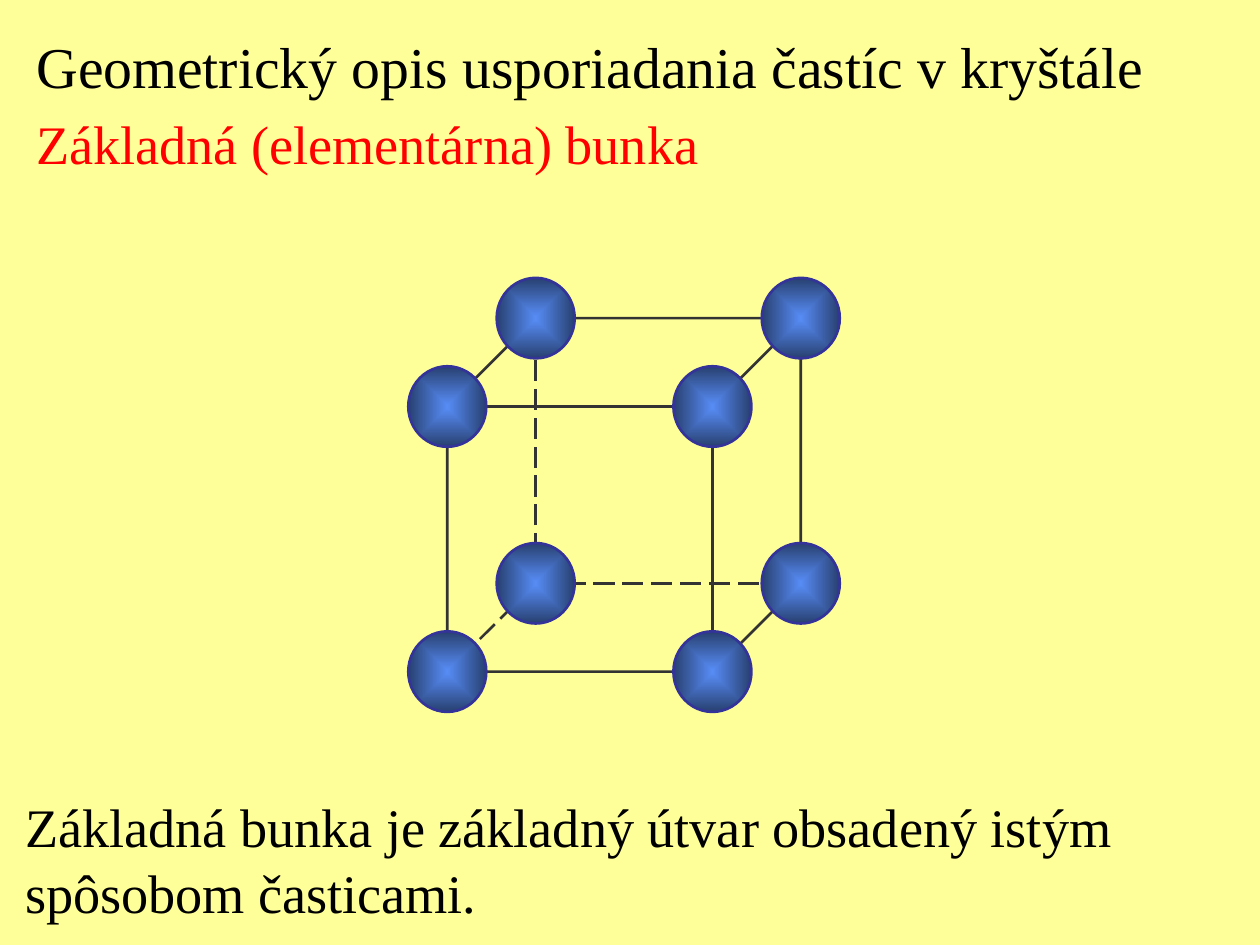
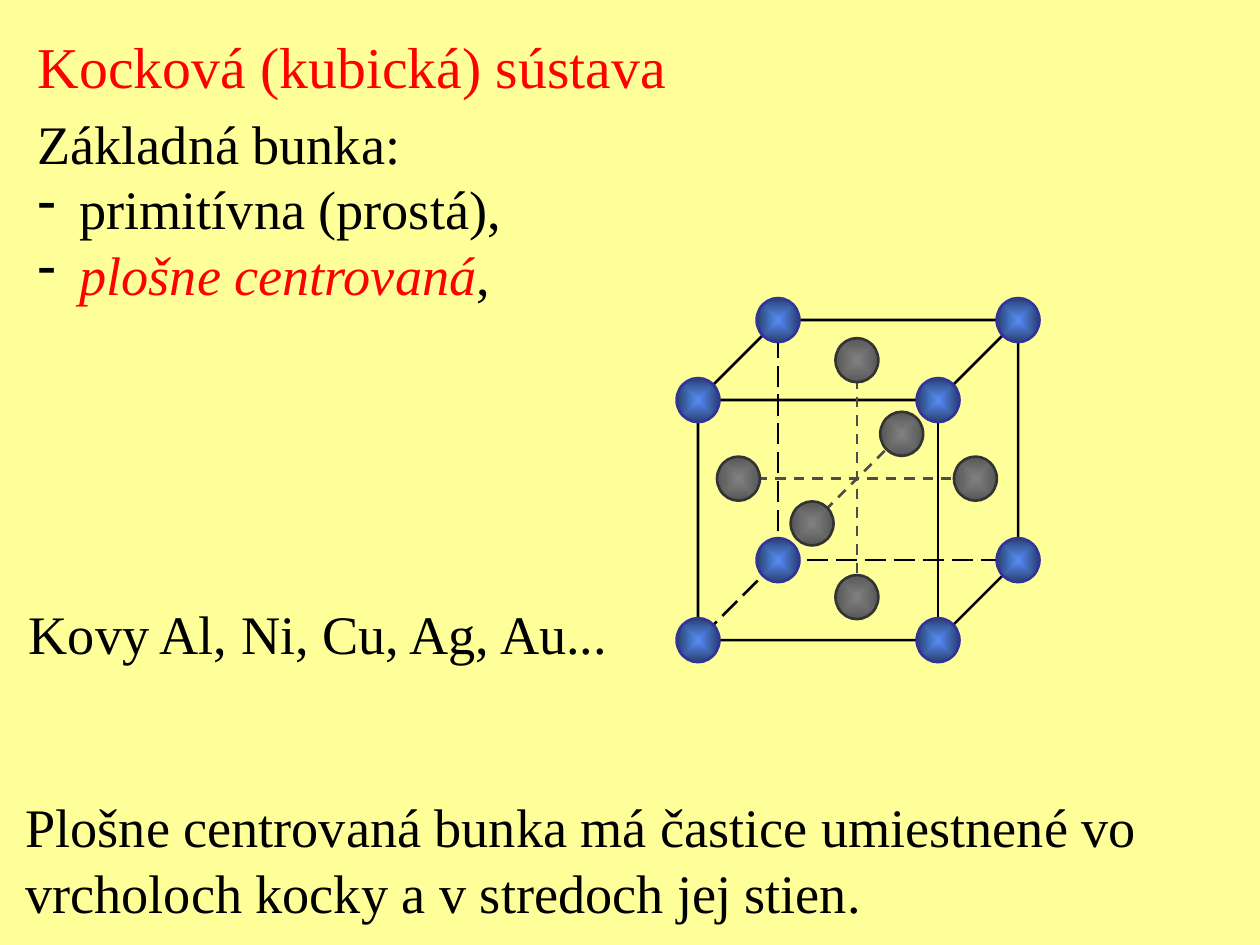
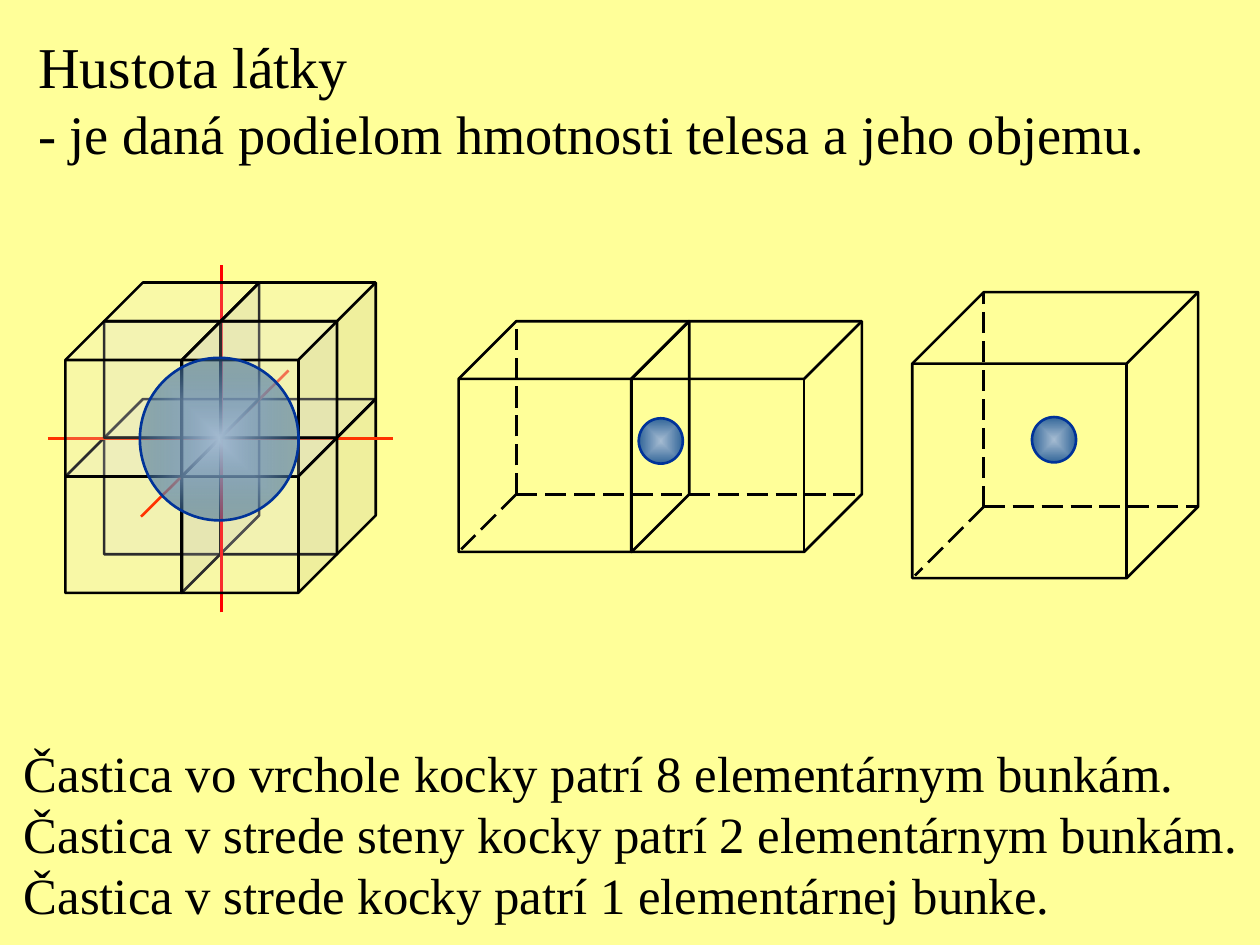
from dataclasses import dataclass

from lxml import etree
from pptx import Presentation
from pptx import oxml
from pptx import util as u
from pptx.dml.color import RGBColor
from pptx.enum import dml, shapes, text
from pptx.oxml import ns

Pt = u.Pt


@dataclass(frozen=True)
class Theme:
    font: str = "Times New Roman"
    bg: str = "FFFF99"
    ink: str = "000000"
    accent: str = "FF0000"
    axis: str = "FF3300"
    edge: str = "333333"
    inner: str = "4D4D4D"
    glass: str = "DDDDDD"
    title: float = 33
    body: float = 31
    note: float = 29
    leading: float = 1.2
    after: float = 6.1
    indent: float = 24
    line: float = 1.5
    blue: tuple = ("578CF5", "284070", 100, "333399")
    grey: tuple = ("808080", "575757", 100, "333333")
    steel: tuple = ("A4BBD1", "336699", 100, "003399")
    clear_steel: tuple = ("A4BBD1", "336699", 50, "003399")


T = Theme()
SOLID, DASH, LONG = None, dml.MSO_LINE.DASH, dml.MSO_LINE.LONG_DASH
HIDDEN = ("upright", "across", "depth")

TEXTS = [
    [
        ((7.2, 450, 660, 82), [
            dict(text="Základná bunka je základný útvar obsadený istým"),
            dict(text="spôsobom časticami."),
        ]),
        ((13.7, 14, 670, 90), [
            dict(text="Geometrický opis usporiadania častíc v kryštále",
                 size=T.title, after=T.after),
            dict(text="Základná (elementárna) bunka", color=T.accent),
        ]),
    ],
    [
        ((14.4, 14, 400, 165), [
            dict(text="Kocková (kubická) sústava", size=T.title,
                 color=T.accent, after=T.after),
            dict(text="Základná bunka:"),
            dict(text="primitívna (prostá),", bullet="-"),
            dict(text="plošne centrovaná", bullet="-", color=T.accent,
                 italic=True, tail=","),
        ]),
        ((7.6, 450, 670, 82), [
            dict(text="Plošne centrovaná bunka má častice umiestnené vo"),
            dict(text="vrcholoch kocky a v stredoch jej stien."),
        ]),
        ((9.4, 339.6, 365, 44.6), [dict(text="Kovy Al, Ni, Cu, Ag, Au...")]),
    ],
    [
        ((14.7, 14, 680, 84), [
            dict(text="Hustota látky", size=T.title),
            dict(text="- je daná podielom hmotnosti telesa a jeho objemu."),
        ]),
        ((6.5, 420.5, 713, 111.6), [
            dict(text=line, size=T.note) for line in (
                "Častica vo vrchole kocky patrí 8 elementárnym bunkám.",
                "Častica v strede steny kocky patrí 2 elementárnym bunkám.",
                "Častica v strede kocky patrí 1 elementárnej bunke.",
            )
        ]),
    ],
]

SIMPLE_CELL = (255.6, 181.8, 202)
CENTRED_CELL = (398.9, 182.9, 182.9)
CELL_CENTRE = (489.7, 273.5)
FACE_OFFSETS = [(67.7, 0), (0, 67.7), (25.6, -25.6)]

STACK_ORIGIN, STACK_SIZE = (37.4, 183.6), 88.6
STACK_STEP, STACK_DEPTH = 66.6, 22.1
STACK_BELOW_AXES = [(0, 1, 1), (1, 1, 1), (0, 1, 0)]
STACK_ABOVE_AXES = [(0, 0, 1), (1, 0, 1), (0, 0, 0), (1, 0, 0), (1, 1, 0)]
AXES = [
    ((27.4, 250.6), (224.6, 250.6), T.axis),
    ((126.7, 350), (126.7, 151.2), T.accent),
    ((164.9, 211.7), (80.6, 295.2), T.axis),
]
PAIR = [((360.7, 183.6, 131.8), ("across",)),
        ((262.1, 183.6, 131.8), HIDDEN)]
SINGLE = (521.3, 167, 163.4)


def write(tf, text, size=T.body, color=T.ink, italic=False, bullet=None,
          after=0, tail="", first=False):
    p = tf.paragraphs[0] if first else tf.add_paragraph()
    if bullet:
        pPr = p._p.get_or_add_pPr()
        pPr.set("marL", str(Pt(T.indent)))
        pPr.set("indent", str(-Pt(T.indent)))
        clr = etree.SubElement(pPr, ns.qn("a:buClr"))
        etree.SubElement(clr, ns.qn("a:srgbClr"), val=T.ink)
        etree.SubElement(pPr, ns.qn("a:buChar"), char=bullet)
    p.line_spacing = Pt(size * T.leading)
    p.space_after = Pt(after)
    for part, tint, slant in ((text, color, italic), (tail, T.ink, False)):
        if part:
            r = p.add_run()
            r.text = part
            r.font.name, r.font.size = T.font, Pt(size)
            r.font.color.rgb = RGBColor.from_string(tint)
            r.font.italic = slant


def add_text(s, box, paras):
    tf = s.shapes.add_textbox(*map(Pt, box)).text_frame
    tf.word_wrap = True
    tf.auto_size = text.MSO_AUTO_SIZE.SHAPE_TO_FIT_TEXT
    for i, para in enumerate(paras):
        write(tf, first=i == 0, **para)


def set_line(sp, color, dash=SOLID):
    sp.line.color.rgb = RGBColor.from_string(color)
    sp.line.width = Pt(T.line)
    if dash:
        sp.line.dash_style = dash


def add_line(s, start, end, color, dash=SOLID):
    sp = s.shapes.add_connector(shapes.MSO_CONNECTOR.STRAIGHT,
                                *map(Pt, (*start, *end)))
    set_line(sp, color, dash)
    etree.SubElement(sp._element.spPr, ns.qn("a:effectLst"))


def add_cube(s, x, y, size, color=T.ink, hidden=(), glass=False):
    sp = s.shapes.add_shape(shapes.MSO_SHAPE.CUBE, *map(Pt, (x, y, size, size)))
    sp.adjustments[0] = 0.25
    sp.shadow.inherit = False
    if glass:
        sp.fill.solid()
        sp.fill.fore_color.rgb = RGBColor.from_string(T.glass)
        clr = next(sp._element.spPr.iter(ns.qn("a:srgbClr")))
        etree.SubElement(clr, ns.qn("a:alpha"), val="20000")
    else:
        sp.fill.background()
    set_line(sp, color)
    d = size / 4
    corner = (x + d, y + size - d)
    ends = dict(upright=(x + d, y), across=(x + size, y + size - d),
                depth=(x + 1.5, y + size - 1.5))
    for edge in hidden:
        add_line(s, corner, ends[edge], color, LONG)


def add_ball(s, centre, w, h, look):
    inner, outer, alpha, edge = look
    x, y = centre
    sp = s.shapes.add_shape(shapes.MSO_SHAPE.OVAL,
                            *map(Pt, (x - w / 2, y - h / 2, w, h)))
    sp.shadow.inherit = False
    sp._element.spPr.insert(2, oxml.parse_xml(
        f'<a:gradFill {ns.nsdecls("a")} rotWithShape="0"><a:gsLst>'
        f'<a:gs pos="0"><a:srgbClr val="{inner}"/></a:gs>'
        f'<a:gs pos="100000"><a:srgbClr val="{outer}">'
        f'<a:alpha val="{alpha * 1000}"/></a:srgbClr></a:gs></a:gsLst>'
        '<a:path path="rect"><a:fillToRect l="50000" t="50000" r="50000" '
        'b="50000"/></a:path></a:gradFill>'))
    set_line(sp, edge)


def corners(x, y, size):
    d = size / 4
    f = size - d
    return [(x + back * d + col * f, y + (1 - back) * d + row * f)
            for back in (0, 1) for row in (0, 1) for col in (0, 1)]


def draw_simple(s):
    add_cube(s, *SIMPLE_CELL, color=T.edge, hidden=HIDDEN)
    for point in corners(*SIMPLE_CELL):
        add_ball(s, point, 44.6, 46, T.blue)


def draw_centred(s):
    add_cube(s, *CENTRED_CELL, hidden=HIDDEN)
    for point in corners(*CENTRED_CELL):
        add_ball(s, point, 24.5, 25.2, T.blue)
    cx, cy = CELL_CENTRE
    pairs = [((cx - dx, cy - dy), (cx + dx, cy + dy)) for dx, dy in FACE_OFFSETS]
    for start, end in pairs:
        add_line(s, start, end, T.inner, DASH)
    for pair in pairs:
        for point in pair:
            add_ball(s, point, 24.5, 25.2, T.grey)


def draw_stack(s, cells):
    x, y = STACK_ORIGIN
    for col, row, back in cells:
        add_cube(s, x + col * STACK_STEP + back * STACK_DEPTH,
                 y + row * STACK_STEP - back * STACK_DEPTH,
                 STACK_SIZE, glass=True)


def draw_shares(s):
    draw_stack(s, STACK_BELOW_AXES)
    for start, end, color in AXES:
        add_line(s, start, end, color)
    draw_stack(s, STACK_ABOVE_AXES)
    add_ball(s, (125.3, 250.9), 90.7, 92.9, T.clear_steel)
    for cell, hidden in PAIR:
        add_cube(s, *cell, hidden=hidden)
    add_ball(s, (377.6, 252), 25.2, 25.9, T.steel)
    add_cube(s, *SINGLE, hidden=HIDDEN)
    add_ball(s, (602.3, 251.3), 25.2, 25.9, T.steel)


def main():
    prs = Presentation()
    prs.slide_width, prs.slide_height = Pt(720), Pt(540)
    for draw, boxes in zip((draw_simple, draw_centred, draw_shares), TEXTS):
        s = prs.slides.add_slide(prs.slide_layouts[6])
        s.background.fill.solid()
        s.background.fill.fore_color.rgb = RGBColor.from_string(T.bg)
        draw(s)
        for box, paras in boxes:
            add_text(s, box, paras)
    prs.save("out.pptx")


if __name__ == "__main__":
    main()
